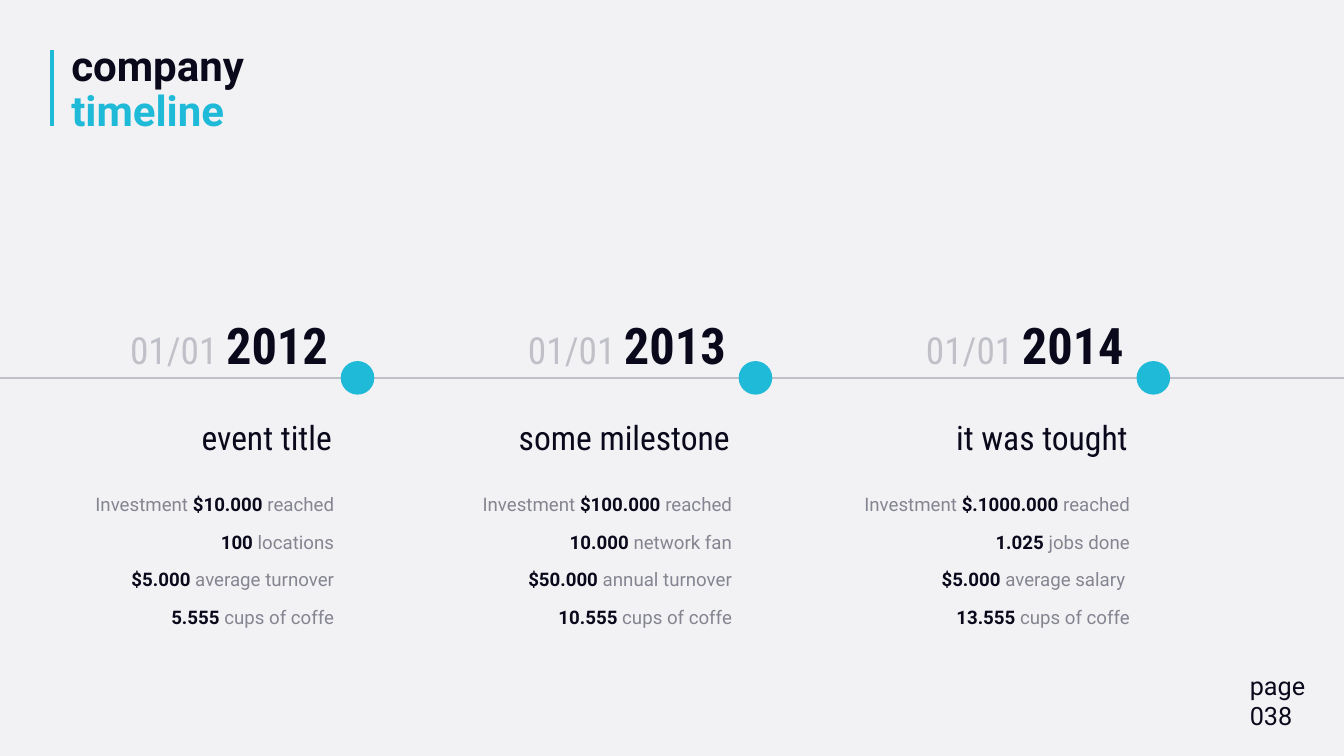
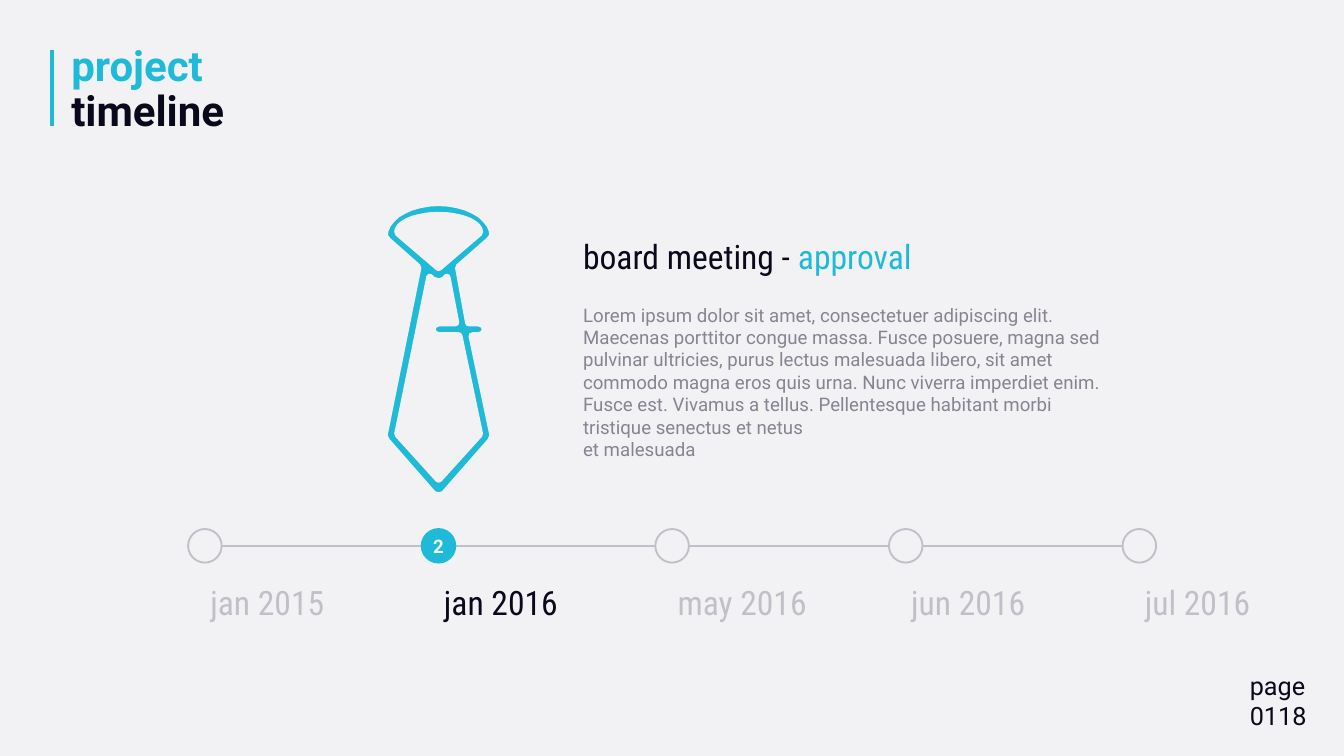
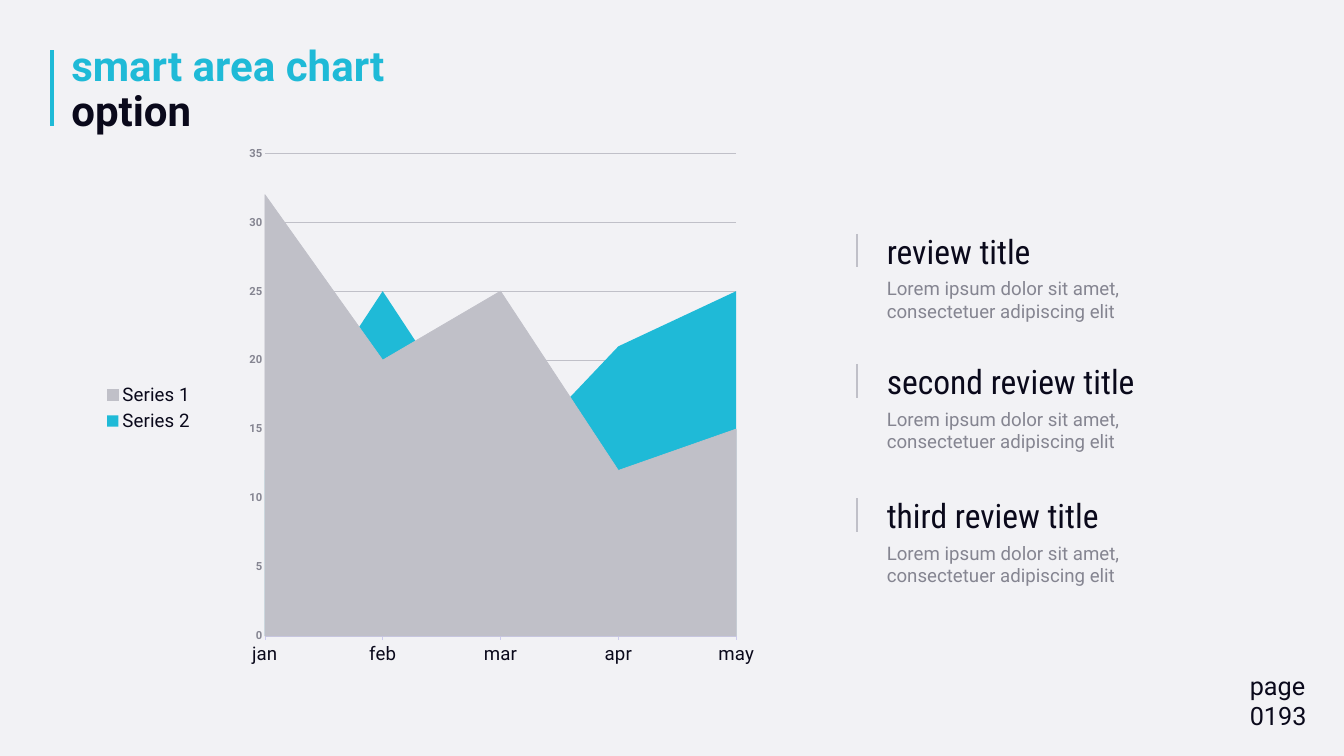
import math
from lxml import etree
from pptx import Presentation
from pptx.chart.data import CategoryChartData
from pptx.dml.color import RGBColor
from pptx.enum.chart import XL_CHART_TYPE, XL_LEGEND_POSITION, XL_TICK_MARK
from pptx.enum.shapes import MSO_CONNECTOR, MSO_SHAPE
from pptx.enum.text import MSO_ANCHOR, PP_ALIGN
from pptx.oxml.ns import qn
from pptx.util import Cm, Pt

LEFT, CENTER, RIGHT = PP_ALIGN.LEFT, PP_ALIGN.CENTER, PP_ALIGN.RIGHT
TOP, MIDDLE = MSO_ANCHOR.TOP, MSO_ANCHOR.MIDDLE
STRAIGHT, OVAL = MSO_CONNECTOR.STRAIGHT, MSO_SHAPE.OVAL

CYAN, INK, GREY, SILVER, PAPER = "1FBAD7", "0A091B", "858591", "C0C0C8", "F2F2F5"
BODY, NARROW = "Roboto", "Roboto Condensed"
DOT = 1.27
rgb = RGBColor.from_string


def paint(sp, fill=None, line=None, width=2):
    """Colour a shape or connector and take its shadow away."""
    if fill:
        sp.fill.solid()
        sp.fill.fore_color.rgb = rgb(fill)
    if line:
        sp.line.color.rgb = rgb(line)
        sp.line.width = Pt(width)
    else:
        sp.line.fill.background()
    etree.SubElement(sp._element.spPr, qn("a:effectLst"))


def text(s, box, *paras, sp=None, size=20, font=BODY, bold=False, align=LEFT,
         anchor=TOP, spacing=None):
    """Each paragraph is a list of (words, colour[, bold[, size]]) or a line break."""
    sp = sp or s.shapes.add_textbox(*map(Cm, box))
    tf = sp.text_frame
    tf.word_wrap = True
    tf.vertical_anchor = anchor
    for i, runs in enumerate(paras):
        p = tf.paragraphs[0] if i == 0 else tf.add_paragraph()
        p.alignment = align
        if spacing:
            p.line_spacing = spacing
        for run in runs:
            if run == "\n":
                p.add_line_break()
                continue
            words, colour, *own = run
            r = p.add_run()
            r.text = words
            r.font.name = font
            r.font.color.rgb = rgb(colour)
            r.font.bold = own[0] if own else bold
            r.font.size = Pt(own[1] if len(own) > 1 else size)


prs = Presentation()
prs.slide_width, prs.slide_height = Cm(50.8), Cm(28.58)
layout = prs.slide_layouts[5]
bg = prs.slide_master.background.fill
bg.solid()
bg.fore_color.rgb = rgb(PAPER)

# Titles and page numbers
for first, second, page in [
    (("company", INK), ("timeline", CYAN), "038"),
    (("project", CYAN), ("timeline", INK), "0118"),
    (("smart area chart", CYAN), ("option", INK), "0193"),
]:
    s = prs.slides.add_slide(layout)
    title = s.shapes.title
    title.left, title.top, title.width, title.height = map(Cm, (2.44, 1.57, 15.14, 3.71))
    text(s, None, [first, "\n", second], sp=title, size=45, bold=True,
         anchor=MIDDLE, spacing=0.9)
    text(s, (46.99, 25.2, 4.83, 2.64), [("page", INK)], [(page, INK)], size=27)
company, project, area = prs.slides

# Title bar, kept on the layout
bar = company.shapes.add_connector(STRAIGHT, Cm(1.96), Cm(1.9), Cm(1.96), Cm(4.77))
paint(bar, line=CYAN, width=5)
layout.shapes._spTree.append(bar._element)

# Slide 1: company timeline
events = [
    ("2012", "event title", [
        [("Investment ", GREY), ("$10.000 ", INK, True), ("reached", GREY)],
        [("100 ", INK, True), ("locations", GREY)],
        [("$5.000 ", INK, True), ("average turnover", GREY)],
        [("5.555", INK, True), (" cups of coffe", GREY)]]),
    ("2013", "some milestone", [
        [("Investment ", GREY), ("$100.000 ", INK, True), ("reached", GREY)],
        [("10.000 ", INK, True), ("network fan", GREY)],
        [("$50.000 ", INK, True), ("annual turnover", GREY)],
        [("10.555", INK, True), (" cups of coffe", GREY)]]),
    ("2014", "it was tought", [
        [("Investment ", GREY), ("$.1000.000 ", INK, True), ("reached", GREY)],
        [("1.025 ", INK, True), ("jobs done", GREY)],
        [("$5.000", INK, True), (" average salary ", GREY)],
        [("13.555", INK, True), (" cups of coffe", GREY)]]),
]
AXIS_Y, EVENT_PITCH = 14.29, 15.04
dot_lefts = [12.88 + i * EVENT_PITCH for i in range(len(events))]
starts = [0] + [x + DOT for x in dot_lefts]
for start, end in zip(starts, dot_lefts + [50.8]):
    c = company.shapes.add_connector(STRAIGHT, Cm(start), Cm(AXIS_Y), Cm(end), Cm(AXIS_Y))
    paint(c, line=SILVER)
for i, (year, name, facts) in enumerate(events):
    x = i * EVENT_PITCH
    dot = company.shapes.add_shape(OVAL, Cm(dot_lefts[i]), Cm(13.65), Cm(DOT), Cm(DOT))
    paint(dot, CYAN)
    text(company, (2.92 + x, 11.76, 9.73, 2.57),
         [("01/01 ", SILVER), (year, INK, True, 54)], size=40, font=NARROW, align=RIGHT)
    text(company, (2.16 + x, 15.62, 10.64, 1.8), [(name, INK)],
         size=36, font=NARROW, align=RIGHT)
    for row, fact in enumerate(facts):
        text(company, (0.33 + x, 18.52 + row * 1.42, 12.55, 1.12), fact, align=RIGHT)

# Slide 2: heading and description
text(project, (21.79, 8.81, 20.24, 1.8),
     [("board meeting - ", INK), ("approval", CYAN)], size=36, font=NARROW)
text(project, (21.79, 11.35, 20.62, 6.25),
     [("Lorem ipsum dolor sit amet, consectetuer adipiscing elit. Maecenas porttitor "
       "congue massa. Fusce posuere, magna sed pulvinar ultricies, purus lectus "
       "malesuada libero, sit amet commodo magna eros quis urna. Nunc viverra imperdiet "
       "enim. Fusce est. Vivamus a tellus. Pellentesque habitant morbi tristique "
       "senectus et netus", GREY)],
     [("et malesuada", GREY)])

# Slide 2: project steps
c = project.shapes.add_connector(STRAIGHT, Cm(8.38), Cm(20.64), Cm(42.42), Cm(20.64))
paint(c, line=SILVER, width=3)
for i, month in enumerate(["jan 2015", "jan 2016", "may 2016", "jun 2016", "jul 2016"]):
    x = i * 8.83
    current = i == 1
    dot = project.shapes.add_shape(OVAL, Cm(7.11 + x), Cm(20), Cm(DOT), Cm(DOT))
    paint(dot, CYAN if current else PAPER, CYAN if current else SILVER)
    if current:
        text(project, None, [(str(i + 1), PAPER)], sp=dot, bold=True,
             align=CENTER, anchor=MIDDLE)
    text(project, (7.7 + x, 21.89, 5.92, 1.8), [(month, INK if current else SILVER)],
         size=36, font=NARROW)

# Slide 2: necktie, in hundredths of a cm from the top of its axis
angles = [math.radians(a) for a in range(180, -1, -10)]
knot_top = [(206 * math.cos(a), 127 - 127 * math.sin(a)) for a in angles]
knot_hole = [(154 * math.cos(a), 114 - 64 * math.sin(a)) for a in angles]
contours = [
    knot_top + [
        (191, 145), (76, 246), (114, 455), (152, 455), (170, 462), (178, 480),
        (170, 498), (152, 505), (127, 505), (205, 876), (205, 884), (198, 902),
        (20, 1105), (0, 1110), (-20, 1105), (-198, 902), (-206, 884), (-206, 876),
        (-79, 246), (-193, 145)],
    knot_hole + [(0, 246)],
    [(0, 1046), (-154, 876), (-33, 284), (-20, 297), (-14, 297), (0, 302), (14, 297),
     (20, 297), (31, 284), (64, 455), (0, 455), (-18, 462), (-26, 480), (-18, 498),
     (0, 505), (76, 505), (154, 876)],
]
tie = project.shapes.build_freeform(*contours[0][0], scale=Cm(0.01))
tie.add_line_segments(contours[0][1:])
for contour in contours[1:]:
    tie.move_to(*contour[0])
    tie.add_line_segments(contour[1:])
paint(tie.convert_to_shape(Cm(16.58), Cm(7.65)), CYAN, PAPER, 8)

# Slide 3: area chart
data = CategoryChartData()
data.categories = ["jan", "feb", "mar", "apr", "may"]
data.add_series("Series 1", (32, 20, 25, 12, 15))
data.add_series("Series 2", (12, 25, 12, 21, 25))
chart = area.shapes.add_chart(XL_CHART_TYPE.AREA, Cm(3.61), Cm(5.33), Cm(25.2),
                              Cm(20.19), data).chart
chart.has_title = False
chart.has_legend = True
chart.legend.position = XL_LEGEND_POSITION.LEFT
chart.legend.include_in_layout = False
plot = chart.plots[0]
plot.vary_by_categories = False
for series, colour in zip(plot.series, (SILVER, CYAN)):
    series.format.fill.solid()
    series.format.fill.fore_color.rgb = rgb(colour)
plot.series[0].format.line.color.rgb = rgb(SILVER)
plot.series[0].format.line.width = Pt(0.75)

cats, vals = chart.category_axis, chart.value_axis
cats.has_major_gridlines = False
cats.major_tick_mark = XL_TICK_MARK.OUTSIDE
cats.format.line.color.rgb = rgb("CCCAED")
cats.format.line.width = Pt(0.75)
vals.minimum_scale, vals.maximum_scale, vals.major_unit = 0, 35, 5
vals.major_tick_mark = XL_TICK_MARK.NONE
vals.format.line.fill.background()
vals.has_major_gridlines = True
vals.major_gridlines.format.line.color.rgb = rgb(SILVER)
vals.major_gridlines.format.line.width = Pt(0.75)
for font, size, colour, bold in [
    (chart.font, 10, INK, False),
    (chart.legend.font, 20, INK, False),
    (cats.tick_labels.font, 20, INK, False),
    (vals.tick_labels.font, 12, GREY, True),
]:
    font.name, font.size, font.bold = BODY, Pt(size), bold
    font.color.rgb = rgb(colour)

# Areas start on the axis, and the plot has a fixed place
plot_area = chart._chartSpace.chart.plotArea
for cross in plot_area.iter(qn("c:crossBetween")):
    cross.set("val", "midCat")
for old in plot_area.findall(qn("c:layout")):
    plot_area.remove(old)
place = etree.Element(qn("c:layout"))
plot_area.insert(0, place)
manual = etree.SubElement(place, qn("c:manualLayout"))
for tag, val in [("layoutTarget", "inner"), ("xMode", "edge"), ("yMode", "edge"),
                 ("x", "0.254"), ("y", "0.023"), ("w", "0.707"), ("h", "0.904")]:
    etree.SubElement(manual, qn("c:" + tag)).set("val", val)

# Slide 3: reviews
for name, y in [("review title", 8.59), ("second review title", 13.51),
                ("third review title", 18.59)]:
    text(area, (33.27, y + 1.77, 11.76, 1.96),
         [("Lorem ipsum dolor sit amet, consectetuer adipiscing elit", GREY)])
    text(area, (33.27, y, 11.89, 1.8), [(name, INK)], size=36, font=NARROW)
    c = area.shapes.add_connector(STRAIGHT, Cm(32.39), Cm(y + 0.25),
                                  Cm(32.39), Cm(y + 1.52))
    paint(c, line=SILVER)

prs.save("out.pptx")
